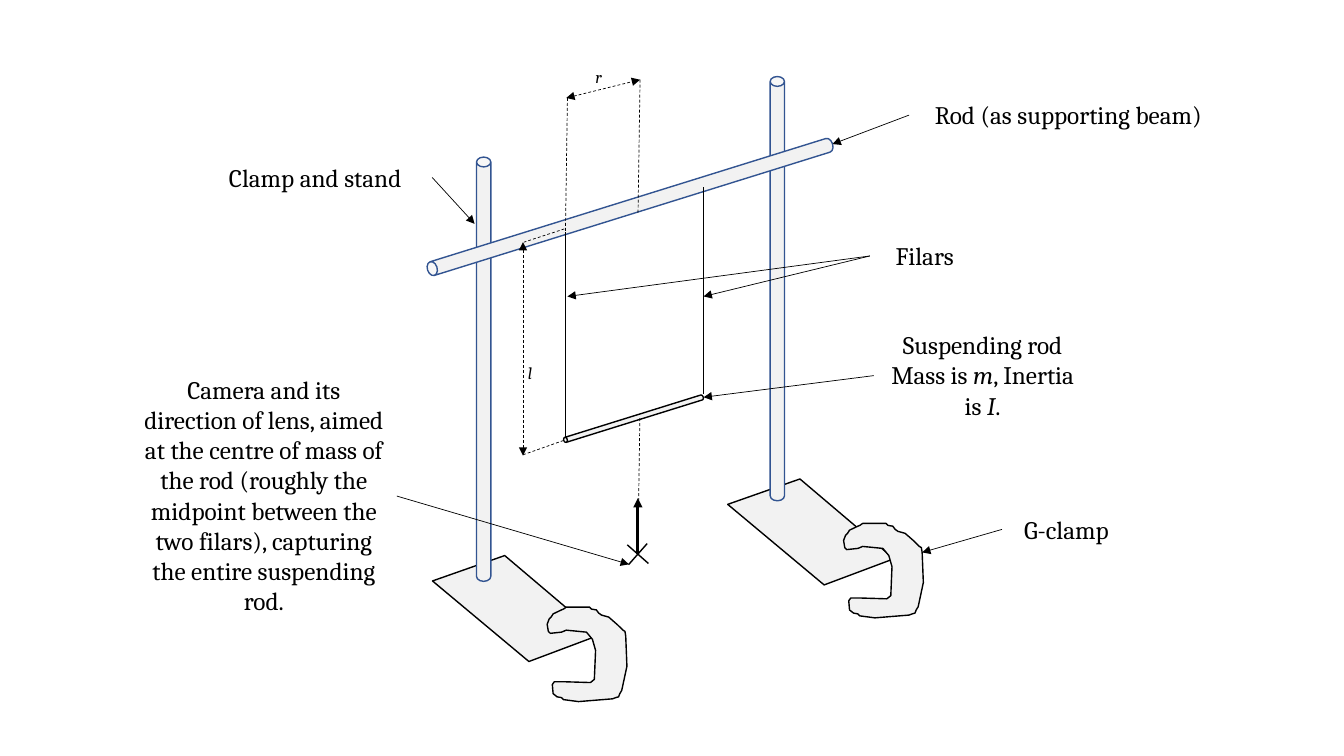
import pptx
import pptx.util
import pptx.dml.color
import pptx.enum.dml
import pptx.enum.shapes
import pptx.enum.text
import pptx.oxml
import pptx.oxml.ns

Cm = pptx.util.Cm
Pt = pptx.util.Pt
SHAPE = pptx.enum.shapes.MSO_SHAPE
BLACK = pptx.dml.color.RGBColor(0x00, 0x00, 0x00)
GREY = pptx.dml.color.RGBColor(0xF2, 0xF2, 0xF2)
BLUE = pptx.dml.color.RGBColor(0x32, 0x54, 0x91)
FONT = "Cambria"

PLATE = [(1.82, 0), (0, 0.64), (2.43, 2.67), (4.19, 2.01)]
CLAMP = [
    (1.07, 0.03), (0.48, 0.03), (0.41, 0.08), (0.36, 0.1), (0.15, 0.2),
    (0.1, 0.28), (0.05, 0.33), (0, 0.46), (0.03, 0.64), (0.08, 0.69),
    (0.36, 0.66), (0.41, 0.64), (0.48, 0.61), (0.99, 0.66), (1.14, 0.84),
    (1.22, 1.12), (1.19, 1.85), (1.09, 1.93), (0.43, 1.91), (0.18, 1.91),
    (0.13, 1.98), (0.15, 2.21), (0.25, 2.29), (0.36, 2.31), (0.41, 2.36),
    (0.79, 2.41), (1.65, 2.34), (1.73, 2.31), (1.8, 2.29), (1.83, 2.21),
    (1.88, 2.13), (2.01, 1.52), (1.98, 0.76), (1.96, 0.64), (1.91, 0.61),
    (1.78, 0.48), (1.55, 0.28), (1.37, 0.23), (1.3, 0.18), (1.24, 0.1),
    (1.12, 0.08),
]
POLE = (0.36, 10.69)
TILT = 252.7


def paint(shape, fill, edge):
    shape.shadow.inherit = False
    shape.fill.solid()
    shape.fill.fore_color.rgb = fill
    if edge is None:
        shape.line.fill.background()
    else:
        shape.line.color.rgb = edge
        shape.line.width = Pt(1)


def outline(slide, spot, points):
    x, y = spot
    ends = [(Cm(x + dx), Cm(y + dy)) for dx, dy in points]
    pen = slide.shapes.build_freeform(*ends[0], scale=1.0)
    pen.add_line_segments(ends[1:], close=True)
    paint(pen.convert_to_shape(), GREY, BLACK)


def tube(slide, spot, size, edge, turn=0):
    can = slide.shapes.add_shape(SHAPE.CAN, *map(Cm, spot + size))
    can.adjustments[0] = 0.688
    can.rotation = turn
    paint(can, GREY, edge)


def draw(slide, start, end, width=0.5, dash=False, heads=()):
    kind = pptx.enum.shapes.MSO_CONNECTOR.STRAIGHT
    line = slide.shapes.add_connector(kind, *map(Cm, start + end))
    line.line.color.rgb = BLACK
    line.line.width = Pt(width)
    if dash:
        line.line.dash_style = pptx.enum.dml.MSO_LINE.DASH
    space = pptx.oxml.ns.nsdecls("a")
    for head in heads:
        mark = pptx.oxml.parse_xml(f'<a:{head} {space} type="triangle"/>')
        line.line._get_or_add_ln().append(mark)
    blank = pptx.oxml.parse_xml(f"<a:effectLst {space}/>")
    line._element.spPr.append(blank)


def write(slide, box, lines, size=18):
    frame = slide.shapes.add_textbox(*map(Cm, box)).text_frame
    frame.word_wrap = True
    frame.auto_size = pptx.enum.text.MSO_AUTO_SIZE.SHAPE_TO_FIT_TEXT
    for place, runs in enumerate(lines):
        para = frame.paragraphs[0] if place == 0 else frame.add_paragraph()
        para.alignment = pptx.enum.text.PP_ALIGN.CENTER
        for text, slant in runs:
            run = para.add_run()
            run.text = text
            run.font.name = FONT
            run.font.size = Pt(size)
            run.font.italic = slant
            run.font.color.rgb = BLACK


def label(slide, box, lines, tips):
    x, y, w, h = box
    write(slide, box, lines)
    for tip in tips:
        side = x if tip[0] < x else x + w
        draw(slide, (side, y + h / 2), tip, heads=["tailEnd"])


def stand(slide, plate, pole, clamp):
    outline(slide, plate, PLATE)
    tube(slide, pole, POLE, BLUE)
    outline(slide, clamp, CLAMP)


def swing(slide, box):
    x, y, w, h = box
    draw(slide, (x, y + 1.12), (x, y + h))
    draw(slide, (x + w, y), (x + w, y + 5.21))
    tube(slide, (x + 1.65, y + 3.99), (0.13, 3.68), BLACK, TILT)


def lens(slide, box):
    x, y, w, h = box
    cross = slide.shapes.add_shape(
        SHAPE.CROSS, Cm(x), Cm(y + h - w), Cm(w), Cm(w))
    cross.adjustments[0] = 0.476
    cross.rotation = 41.4
    paint(cross, BLACK, None)
    mid = x + w / 2
    draw(slide, (mid + 0.05, y), (mid, y + 3.38), dash=True)
    draw(slide, (mid, y + 3.43), (mid, y + 2.01), 2.25, heads=["tailEnd"])


def gauge(slide, box):
    x, y, w, h = box
    both = ["headEnd", "tailEnd"]
    marks = [
        ((1.12, 0.46), (1.07, 3.81), ()),
        ((w, 0), (w - 0.05, 3.35), ()),
        ((1.09, 0.46), (w, 0), both),
        ((1.02, 9.09), (0, h - 0.02), ()),
        ((1.04, 3.76), (0.03, 4.09), ()),
        ((0, 4.09), (0, h), both),
    ]
    for (ax, ay), (bx, by), heads in marks:
        draw(slide, (x + ax, y + ay), (x + bx, y + by), dash=True, heads=heads)
    for text, dx, dy in [("r", -2.11, -0.46), ("l", -3.84, 7.01)]:
        write(slide, (x + dx, y + dy, 8.03, 0.76), [[(text, True)]], 12)


def main():
    deck = pptx.Presentation()
    deck.slide_width, deck.slide_height = Cm(33.87), Cm(19.05)
    slide = deck.slides.add_slide(deck.slide_layouts[6])

    stand(slide, (18.34, 12.07), (19.41, 1.93), (21.26, 13.16))
    stand(slide, (10.9, 14), (12.01, 3.96), (13.79, 15.27))
    tube(slide, (15.7, -0.13), POLE, BLUE, TILT)
    swing(slide, (14.25, 4.72, 3.48, 6.43))
    lens(slide, (15.72, 10.54, 0.71, 3.78))
    gauge(slide, (13.18, 2.01, 2.95, 9.47))

    label(slide, (21.92, 5.94, 2.77, 1.02), [[("Filars", False)]],
          [(17.73, 7.47), (14.3, 7.47)])
    label(slide, (22.02, 8.18, 5.49, 2.57),
          [[("Suspending rod", False)],
           [("Mass is ", False), ("m", True), (", Inertia is ", False),
            ("I", True), (".", False)]],
          [(17.73, 10.01)])
    label(slide, (22.91, 2.39, 8.03, 1.02),
          [[("Rod (as supporting beam)", False)]], [(20.98, 3.63)])
    label(slide, (5, 3.96, 5.89, 1.02),
          [[("Clamp and stand", False)]], [(11.96, 5.64)])
    label(slide, (3.3, 9.3, 6.7, 6.4),
          [[("Camera and its direction of lens, aimed at the centre of mass "
             "of the rod (roughly the midpoint between the two filars), "
             "capturing the entire suspending rod.", False)]],
          [(15.85, 14.22)])
    label(slide, (25.25, 12.83, 3.25, 1.02),
          [[("G-clamp", False)]], [(23.24, 13.92)])
    deck.save("out.pptx")


if __name__ == "__main__":
    main()
